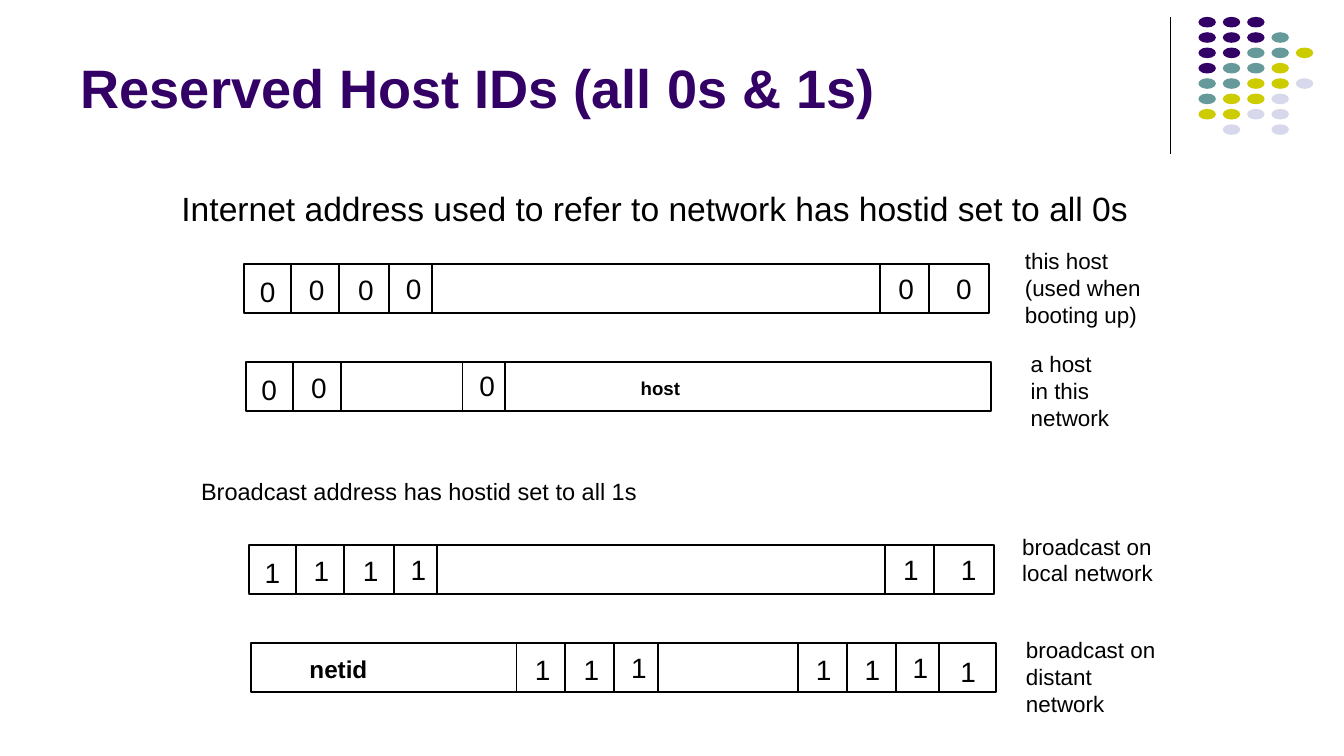
from dataclasses import dataclass

from pptx import Presentation
from pptx.dml.color import RGBColor
from pptx.enum.shapes import MSO_CONNECTOR, MSO_SHAPE
from pptx.enum.text import MSO_ANCHOR, MSO_AUTO_SIZE, PP_ALIGN
from pptx.oxml.ns import qn
from pptx.slide import Slide
from pptx.util import Cm, Pt

BLACK = RGBColor(0x00, 0x00, 0x00)
PURPLE = RGBColor(0x33, 0x00, 0x66)
TEAL = RGBColor(0x66, 0x99, 0x99)
YELLOW = RGBColor(0xCC, 0xCC, 0x00)
LAVENDER = RGBColor(0xD8, 0xD8, 0xEC)

FONT = "Arial"
BAR_WIDTH, BAR_HEIGHT = 14.08, 0.93
DIGIT_WIDTH, DIGIT_HEIGHT = 0.69, 0.81
TIGHT_INSETS = (0.19, 0.1)
WIDE_INSETS = (0.25, 0.13)

DOT_COLORS = {"P": PURPLE, "T": TEAL, "Y": YELLOW, "L": LAVENDER}
DOT_ROWS = ("PPP", "PPPT", "PPTTY", "PTTY", "TTYYL", "TYYL", "YYLL", " L L")
DOT_LEFT, DOT_TOP = 22.65, 0.32
DOT_STEP_X, DOT_STEP_Y = 0.46, 0.29
DOT_WIDTH, DOT_HEIGHT = 0.33, 0.2


@dataclass(frozen=True)
class Label:
    text: str
    left: float
    top: float
    width: float
    height: float
    size: float = 12
    bold: bool = False
    wrap: bool = True
    insets: tuple[float, float] = TIGHT_INSETS
    space_before: float = 0


@dataclass(frozen=True)
class AddressBar:
    left: float
    top: float
    digit: str
    dividers: tuple[float, ...]
    digit_offsets: tuple[tuple[float, float], ...]


END_DIVIDERS = (0.89, 1.8, 2.74, 3.56, 12.02, 12.95)
END_DIGITS = ((0.11, 0.1), (1.04, 0.06), (1.97, 0.06), (2.87, 0.04),
              (12.18, 0.04), (13.27, 0.04))

BARS = (
    AddressBar(4.61, 4.99, "0", END_DIVIDERS, END_DIGITS),
    AddressBar(4.65, 6.84, "0", (0.89, 1.8, 4.09, 4.9),
               ((0.1, 0.1), (1.04, 0.06), (4.22, 0.03))),
    AddressBar(4.7, 10.3, "1", END_DIVIDERS, END_DIGITS),
    AddressBar(4.74, 12.15, "1",
               (5.02, 5.94, 6.87, 7.7, 10.34, 11.26, 12.19, 13.01),
               ((5.18, 0.08), (6.1, 0.08), (7, 0.05), (10.49, 0.08),
                (11.41, 0.08), (12.32, 0.05), (13.22, 0.13))),
)

LABELS = (
    Label("Internet address used to refer to network has hostid set to all 0s",
          3.18, 3.43, 19.05, 1.02, size=18, insets=WIDE_INSETS),
    Label("Broadcast address has hostid set to all 1s",
          3.61, 8.92, 15.82, 0.79, size=12.6, space_before=4.5),
    Label("this host\n(used when\nbooting up)", 19.18, 4.57, 2.7, 1.7),
    Label("a host\nin this\nnetwork", 19.29, 6.52, 2.1, 1.7),
    Label("broadcast on local network", 19.13, 9.97, 3.1, 1.19),
    Label("broadcast on distant network", 19.2, 11.93, 3.02, 1.7),
    Label("host", 11.92, 7.03, 1.35, 0.61, size=10, bold=True),
    Label("netid", 5.66, 12.26, 1.75, 0.74, size=13, bold=True),
)


def add_title(slide: Slide, text: str) -> None:
    title = slide.shapes.title
    title.left, title.top = Cm(1.27), Cm(0.25)
    title.width, title.height = Cm(20.96), Cm(2.13)
    frame = title.text_frame
    frame.text = text
    frame.auto_size = MSO_AUTO_SIZE.NONE
    frame.vertical_anchor = MSO_ANCHOR.BOTTOM
    paragraph = frame.paragraphs[0]
    paragraph.alignment = PP_ALIGN.LEFT
    font = paragraph.runs[0].font
    font.name, font.size, font.bold = FONT, Pt(29), True
    font.color.rgb = PURPLE


def add_label(slide: Slide, label: Label) -> None:
    box = slide.shapes.add_textbox(
        Cm(label.left), Cm(label.top), Cm(label.width), Cm(label.height))
    frame = box.text_frame
    frame.text = label.text
    frame.word_wrap = label.wrap
    frame.auto_size = MSO_AUTO_SIZE.SHAPE_TO_FIT_TEXT
    horizontal, vertical = label.insets
    frame.margin_left = frame.margin_right = Cm(horizontal)
    frame.margin_top = frame.margin_bottom = Cm(vertical)
    for paragraph in frame.paragraphs:
        paragraph.space_before = Pt(label.space_before)
        font = paragraph.runs[0].font
        font.name, font.size, font.bold = FONT, Pt(label.size), label.bold
        font.color.rgb = BLACK


def add_vertical_line(slide: Slide, x: float, top: float, height: float,
                      weight: float) -> None:
    line = slide.shapes.add_connector(
        MSO_CONNECTOR.STRAIGHT, Cm(x), Cm(top), Cm(x), Cm(top + height))
    line.line.color.rgb = BLACK
    line.line.width = Pt(weight)
    properties = line._element.spPr
    properties.append(properties.makeelement(qn("a:effectLst"), {}))


def add_bar(slide: Slide, bar: AddressBar) -> None:
    shape = slide.shapes.add_shape(
        MSO_SHAPE.RECTANGLE, Cm(bar.left), Cm(bar.top),
        Cm(BAR_WIDTH), Cm(BAR_HEIGHT))
    shape.shadow.inherit = False
    shape.fill.background()
    shape.line.color.rgb = BLACK
    shape.line.width = Pt(1)
    for offset in bar.dividers:
        add_vertical_line(slide, bar.left + offset, bar.top, BAR_HEIGHT, 1)
    for x, y in bar.digit_offsets:
        add_label(slide, Label(bar.digit, bar.left + x, bar.top + y,
                               DIGIT_WIDTH, DIGIT_HEIGHT, size=15, wrap=False))


def add_dot_pattern(slide: Slide) -> None:
    group = slide.shapes.add_group_shape()
    for row, codes in enumerate(DOT_ROWS):
        for column, code in enumerate(codes):
            if code not in DOT_COLORS:
                continue
            dot = group.shapes.add_shape(
                MSO_SHAPE.OVAL,
                Cm(DOT_LEFT + column * DOT_STEP_X),
                Cm(DOT_TOP + row * DOT_STEP_Y),
                Cm(DOT_WIDTH), Cm(DOT_HEIGHT))
            dot.shadow.inherit = False
            dot.fill.solid()
            dot.fill.fore_color.rgb = DOT_COLORS[code]
            dot.line.fill.background()


def main() -> None:
    presentation = Presentation()
    presentation.slide_width = Cm(25.4)
    presentation.slide_height = Cm(14.29)
    slide = presentation.slides.add_slide(presentation.slide_layouts[5])
    add_vertical_line(slide, 22.12, 0.33, 2.59, 0.75)
    add_dot_pattern(slide)
    add_title(slide, "Reserved Host IDs (all 0s & 1s)")
    for bar in BARS:
        add_bar(slide, bar)
    for label in LABELS:
        add_label(slide, label)
    presentation.save("out.pptx")


if __name__ == "__main__":
    main()
